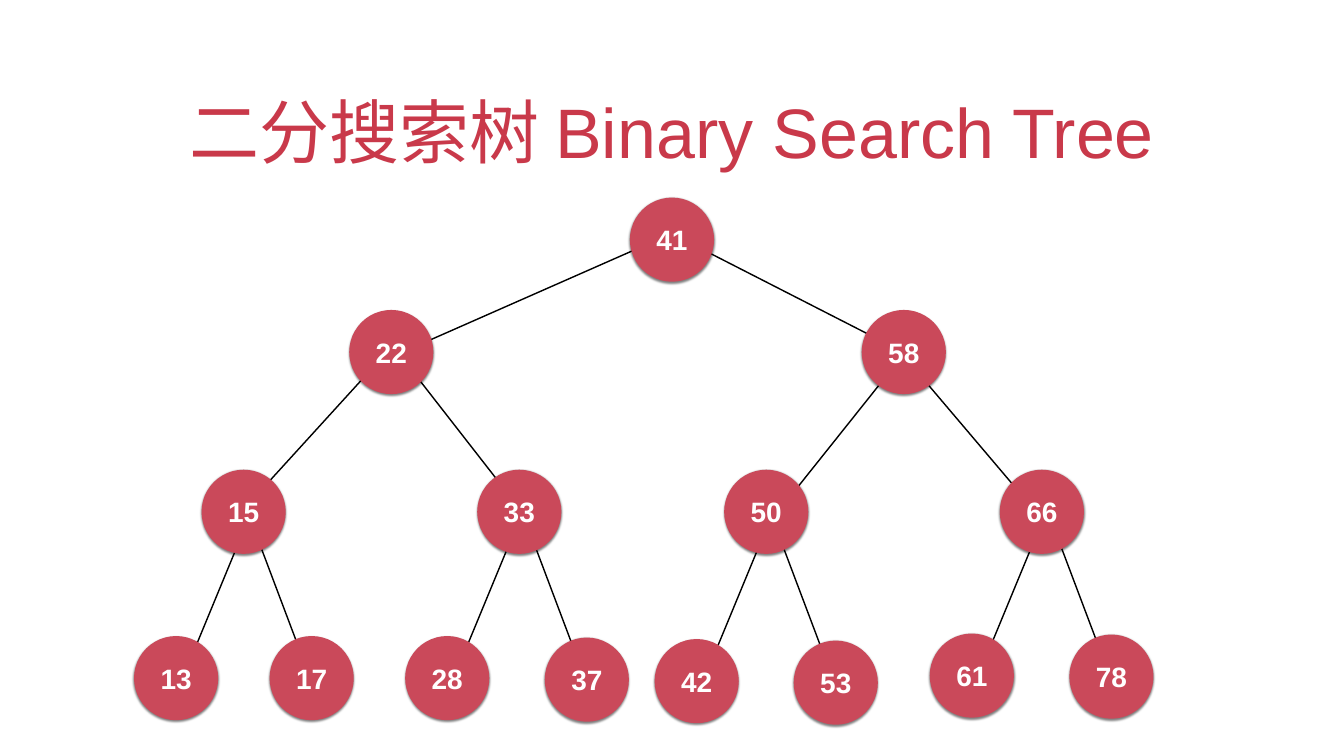
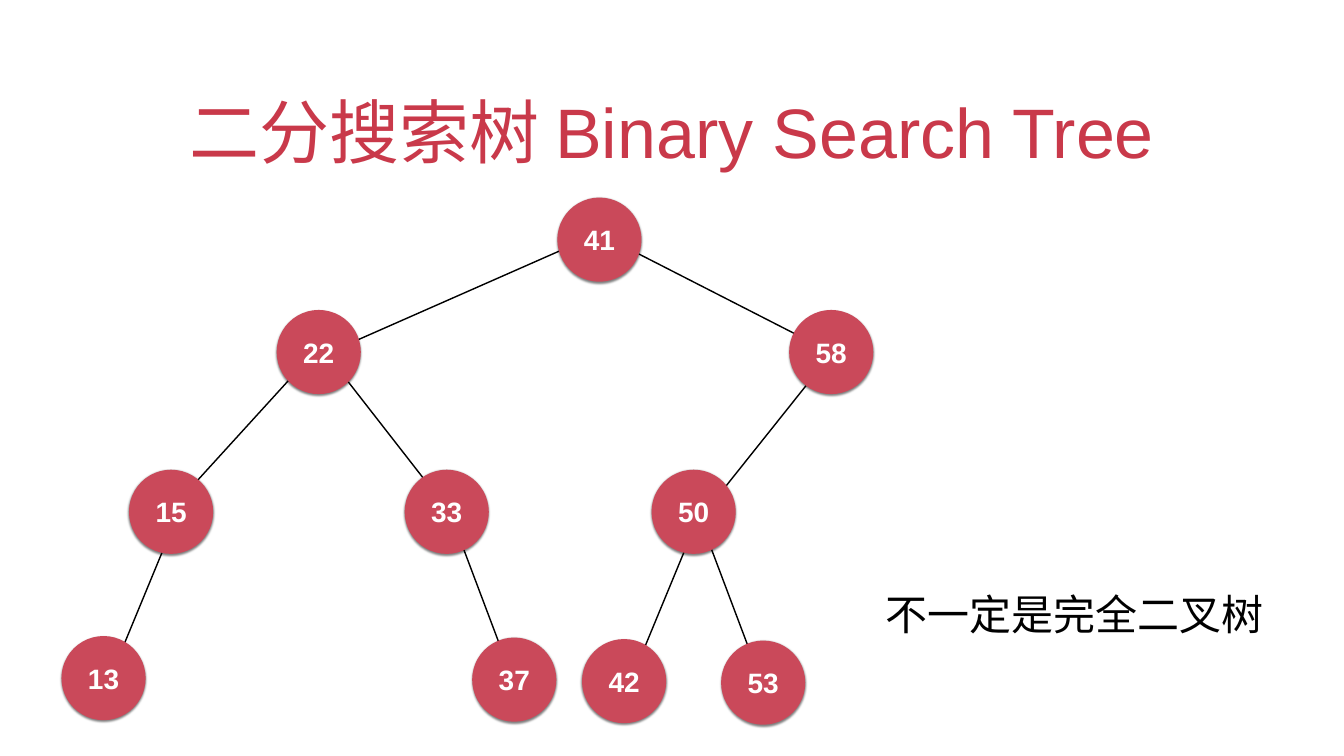
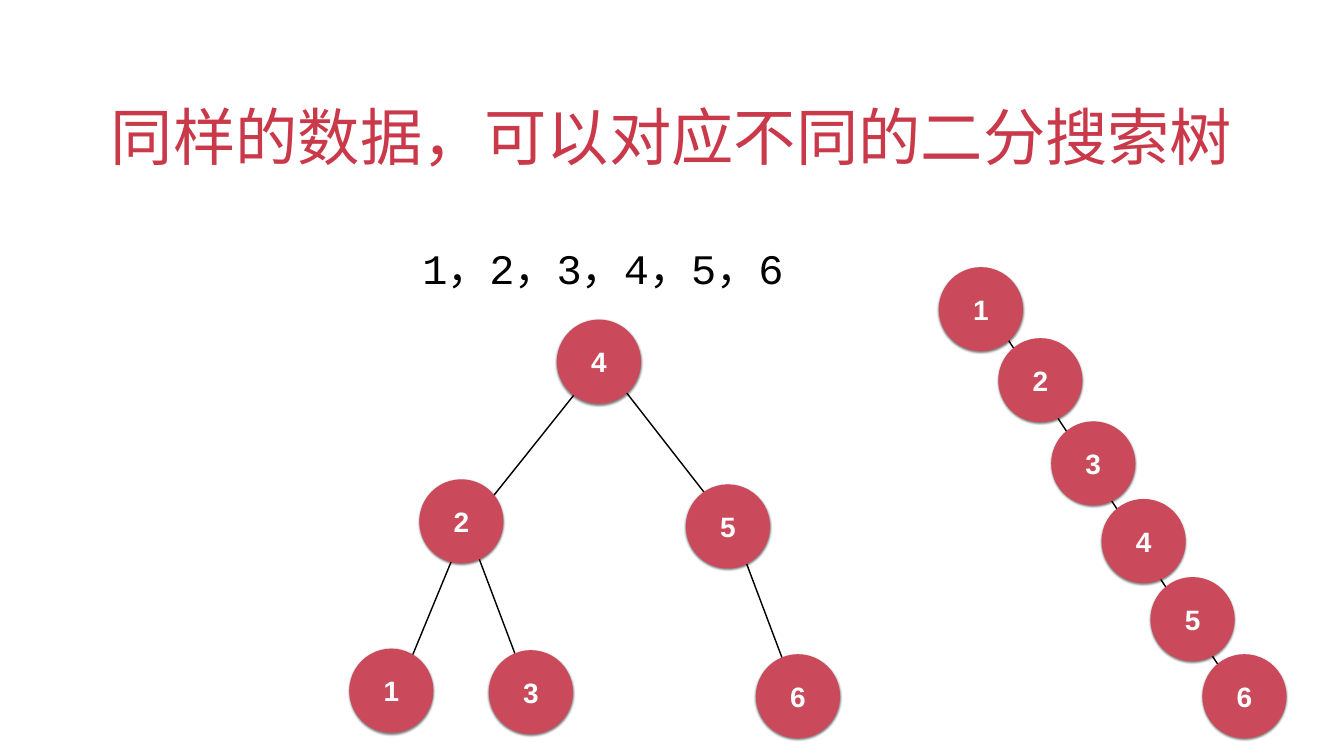
from lxml import etree
from pptx import Presentation, util as u
from pptx.dml.color import RGBColor
from pptx.enum import shapes, text
from pptx.oxml import parse_xml
from pptx.oxml.ns import qn

WIDE, HIGH = 26.67, 15      # the grid has cells of one inch
NODE = 1.67
PAD = 0.06
RED, ROSE, WHITE, BLACK = "C9394A", "CA495A", "FFFFFF", "000000"
SANS, MONO = "Arial", "Courier New"
NAME = "二分搜索树 Binary Search Tree"
NS = "http://schemas.openxmlformats.org/drawingml/2006/main"
SHADE = (f'<a:effectLst xmlns:a="{NS}"><a:outerShdw blurRad="38100" dist="25400" '
         'dir="5400000" rotWithShape="0"><a:srgbClr val="000000">'
         '<a:alpha val="50000"/></a:srgbClr></a:outerShdw></a:effectLst>')

# Edge kinds: start from the child's centre, then the run to its parent
EDGES = {
    "top left": (0, 0.1, 5.47, -2.41),
    "top right": (-0.11, -0.05, -4.44, -2.27),
    "outer left": (-0.08, 0.04, 2.87, -3.15),
    "inner right": (0.25, 0.25, -2.79, -3.58),
    "inner left": (0.13, 0.13, 2.68, -3.36),
    "outer right": (-0.05, 0.08, -2.74, -3.23),
    "leaf left": (0.06, 0.17, 1.43, -3.46),
    "leaf right": (0.04, 0.18, -1.32, -3.5),
    "chain": (-0.44, -0.5, -0.6, -0.91),
}

# Nodes: key, left and top inside the tree's box, edge to the parent
FULL = [
    (41, 9.84, 0, None),
    (22, 4.27, 2.23, "top left"), (58, 14.44, 2.23, "top right"),
    (15, 1.34, 5.4, "outer left"), (33, 6.81, 5.4, "inner right"),
    (50, 11.71, 5.4, "inner left"), (66, 17.18, 5.4, "outer right"),
    (13, 0, 8.7, "leaf left"), (17, 2.69, 8.7, "leaf right"),
    (28, 5.38, 8.7, "leaf left"), (37, 8.15, 8.73, "leaf right"),
    (42, 10.33, 8.76, "leaf left"), (53, 13.09, 8.79, "leaf right"),
    (61, 15.79, 8.65, "leaf left"), (78, 18.56, 8.67, "leaf right"),
]
SPARSE = [node for node in FULL if node[0] not in (66, 17, 28, 61, 78)]
SMALL = [
    (4, 4.12, 0, None),
    (2, 1.39, 3.17, "inner left"), (5, 6.68, 3.27, "inner right"),
    (1, 0, 6.53, "leaf left"), (3, 2.77, 6.56, "leaf right"),
    (6, 8.07, 6.64, "leaf right"),
]
STEPS = [(0, 0), (1.18, 1.41), (2.23, 3.06), (3.23, 4.6), (4.2, 6.15), (5.23, 7.68)]
CHAIN = [(key, x, y, "chain" if key > 1 else None)
         for key, (x, y) in enumerate(STEPS, 1)]


def grid(*cells):
    return [u.Inches(cell) for cell in cells]


def tint(code):
    return RGBColor.from_string(code)


def write(shape, words, size, color, font=SANS, bold=False, align=None,
          anchor=text.MSO_ANCHOR.MIDDLE, lead=None):
    frame = shape.text_frame
    frame.text = words
    frame.word_wrap = True
    frame.vertical_anchor = anchor
    frame.margin_left = frame.margin_right = u.Inches(PAD)
    frame.margin_top = frame.margin_bottom = u.Inches(PAD)
    para = frame.paragraphs[0]
    para.alignment = align
    para.line_spacing = lead
    face = para.runs[0].font
    face.name, face.size, face.bold = font, u.Pt(size), bold
    face.color.rgb = tint(color)


def page(deck, words, size=100):
    """A title-only slide with the shared title style."""
    slide = deck.slides.add_slide(deck.slide_layouts[5])
    back = slide.background.fill
    back.solid()
    back.fore_color.rgb = tint(WHITE)
    head = slide.shapes.title
    head.left, head.top, head.width, head.height = grid(1.94, 1.27, 22.78, 2.22)
    write(head, words, size, RED, align=text.PP_ALIGN.CENTER,
          anchor=text.MSO_ANCHOR.BOTTOM)
    head.text_frame.auto_size = text.MSO_AUTO_SIZE.NONE
    return slide


def link(host, x, y, run, rise):
    line = host.add_connector(shapes.MSO_CONNECTOR.STRAIGHT,
                              *grid(x, y, x + run, y + rise))
    line.line.color.rgb = tint(BLACK)
    line.line.width = u.Pt(2)
    etree.SubElement(line._element.spPr, qn("a:effectLst"))


def knot(host, key, x, y):
    disc = host.add_shape(shapes.MSO_SHAPE.OVAL, *grid(x, y, NODE, NODE))
    disc.fill.solid()
    disc.fill.fore_color.rgb = tint(ROSE)
    disc.line.fill.background()
    disc._element.spPr.append(parse_xml(SHADE))
    write(disc, str(key), 40, WHITE, bold=True, align=text.PP_ALIGN.CENTER)


def tree(host, nodes, left, top):
    """A tree in the box at left, top: edges behind, nodes in front."""
    half = NODE / 2
    for _, x, y, edge in nodes:
        if edge:
            dx, dy, run, rise = EDGES[edge]
            link(host, left + x + half + dx, top + y + half + dy, run, rise)
    for key, x, y, _ in nodes:
        knot(host, key, left + x, top + y)


def note(slide, words, box, font=SANS):
    label = slide.shapes.add_textbox(*grid(*box))
    write(label, words, 60, BLACK, font, lead=1.5)
    label.text_frame.auto_size = text.MSO_AUTO_SIZE.SHAPE_TO_FIT_TEXT


def main():
    deck = Presentation()
    deck.slide_width, deck.slide_height = grid(WIDE, HIGH)

    # Full tree
    slide = page(deck, NAME)
    tree(slide.shapes, FULL, 2.66, 3.92)

    # Incomplete tree
    slide = page(deck, NAME)
    tree(slide.shapes, SPARSE, 1.22, 3.92)
    note(slide, "不一定是完全二叉树", (17.52, 10.49, 11.23, 2.86))

    # Same data, two trees
    slide = page(deck, "同样的数据，可以对应不同的二分搜索树", 89)
    for nodes, left, top in ((SMALL, 6.93, 6.34), (CHAIN, 18.63, 5.3)):
        tree(slide.shapes.add_group_shape().shapes, nodes, left, top)
    note(slide, "1，2，3，4，5，6", (8.32, 4.42, 12.27, 1.28), MONO)

    deck.save("out.pptx")


if __name__ == "__main__":
    main()
